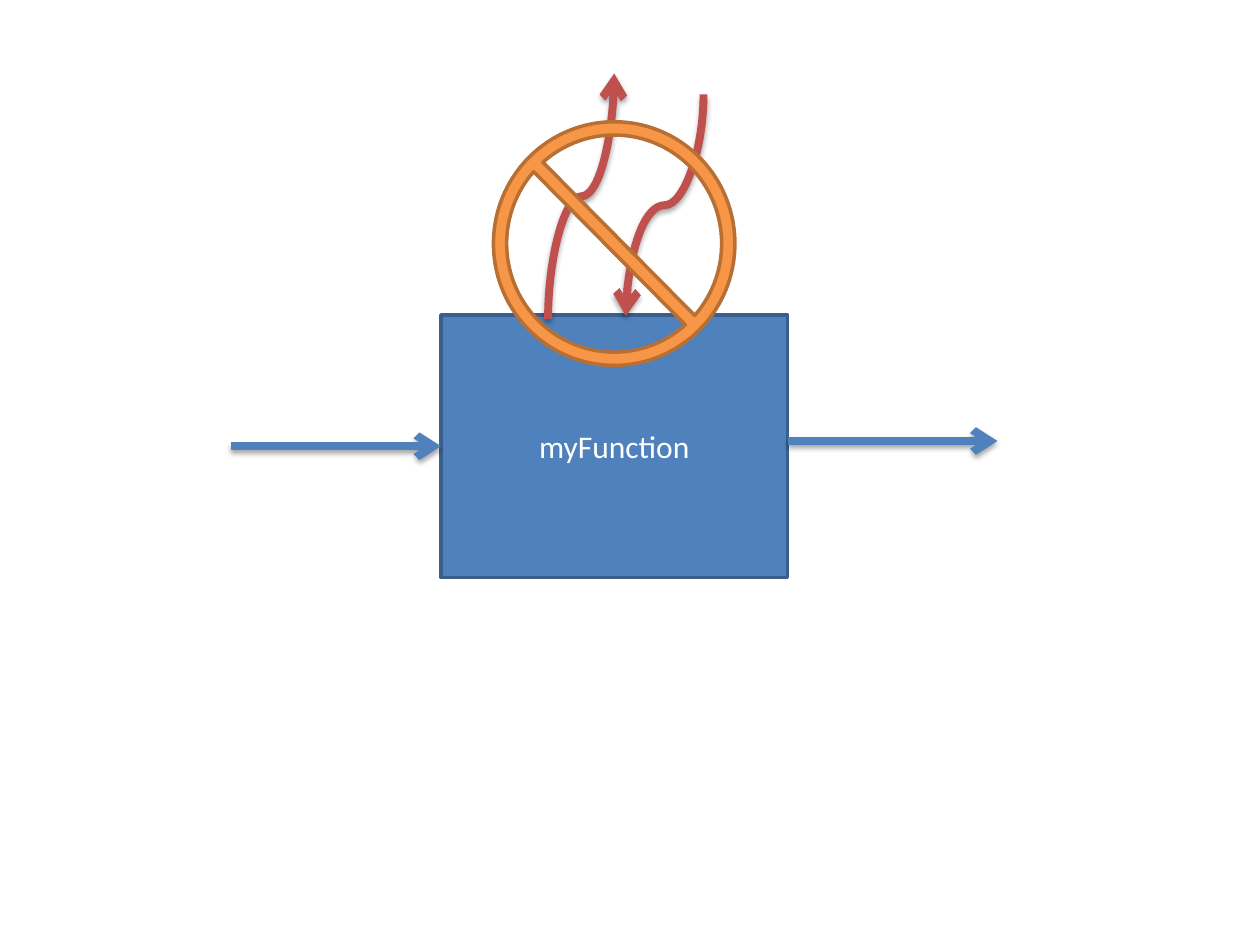
from dataclasses import dataclass

from lxml.etree import SubElement
from pptx import Presentation
from pptx.dml.color import RGBColor
from pptx.enum.shapes import MSO_CONNECTOR, MSO_SHAPE
from pptx.enum.text import MSO_ANCHOR, PP_ALIGN
from pptx.oxml.ns import qn
from pptx.util import Inches, Pt


@dataclass(frozen=True)
class Theme:
    blue: str = "4F81BD"
    blue_edge: str = "3A5F8C"
    red: str = "C0504D"
    orange: str = "F79646"
    orange_edge: str = "B76F34"
    white: str = "FFFFFF"
    shadow: str = "000000"
    font: str = "Calibri"
    label_size: float = 18
    outline: float = 2
    arrow: float = 4.5


class Diagram:
    """Draws boxes and arrows on a slide grid of 120 columns by 90 rows."""

    def __init__(self, presentation, theme):
        self.theme = theme
        self.slide = presentation.slides.add_slide(presentation.slide_layouts[6])
        self.column = presentation.slide_width / 120
        self.row = presentation.slide_height / 90

    def place(self, column, row):
        return round(column * self.column), round(row * self.row)

    def shape(self, preset, corner, size, fill, edge):
        figure = self.slide.shapes.add_shape(preset, *self.place(*corner), *self.place(*size))
        figure.shadow.inherit = False
        figure.fill.solid()
        figure.fill.fore_color.rgb = RGBColor.from_string(fill)
        figure.line.color.rgb = RGBColor.from_string(edge)
        figure.line.width = Pt(self.theme.outline)
        return figure

    def label(self, figure, words):
        frame = figure.text_frame
        frame.text = words
        frame.vertical_anchor = MSO_ANCHOR.MIDDLE
        paragraph = frame.paragraphs[0]
        paragraph.alignment = PP_ALIGN.CENTER
        font = paragraph.runs[0].font
        font.name = self.theme.font
        font.size = Pt(self.theme.label_size)
        font.color.rgb = RGBColor.from_string(self.theme.white)

    def arrow(self, start, end, color, kind=MSO_CONNECTOR.STRAIGHT):
        link = self.slide.shapes.add_connector(kind, *self.place(*start), *self.place(*end))
        link.line.color.rgb = RGBColor.from_string(color)
        link.line.width = Pt(self.theme.arrow)
        SubElement(link.line._get_or_add_ln(), qn("a:tailEnd"), type="arrow")
        self.cast_shadow(link)
        return link

    def upright_curve(self, start, end, color):
        middle = [(a + b) / 2 for a, b in zip(start, end)]
        across, down = [(b - a) / 2 for a, b in zip(start, end)]
        turned_start = middle[0] - down, middle[1] + across
        turned_end = middle[0] + down, middle[1] - across
        link = self.arrow(turned_start, turned_end, color, MSO_CONNECTOR.CURVE)
        link._element.spPr.find(qn("a:xfrm")).set("rot", str(90 * 60000))

    def cast_shadow(self, link):
        effects = SubElement(link._element.spPr, qn("a:effectLst"))
        shadow = SubElement(effects, qn("a:outerShdw"), blurRad=str(Pt(3.1)),
                            dist=str(Pt(1.8)), dir=str(90 * 60000), rotWithShape="0")
        tint = SubElement(shadow, qn("a:srgbClr"), val=self.theme.shadow)
        SubElement(tint, qn("a:alpha"), val="35000")


def main():
    presentation = Presentation()
    presentation.slide_width, presentation.slide_height = Inches(10), Inches(7.5)
    theme = Theme()
    diagram = Diagram(presentation, theme)

    function = diagram.shape(MSO_SHAPE.RECTANGLE, (42, 30), (33, 25),
                             theme.blue, theme.blue_edge)
    diagram.label(function, "myFunction")

    for start, row in ((22, 42.5), (75, 42)):
        diagram.arrow((start, row), (start + 20, row), theme.blue)

    for start, end in (((52.2, 30.4), (58.5, 7)), ((67, 9), (59.6, 30.1))):
        diagram.upright_curve(start, end, theme.red)

    ban = diagram.shape(MSO_SHAPE.NO_SYMBOL, (47, 11.6), (23, 23.2),
                        theme.orange, theme.orange_edge)
    ban.adjustments[0] = 0.055

    presentation.save("out.pptx")


main()
